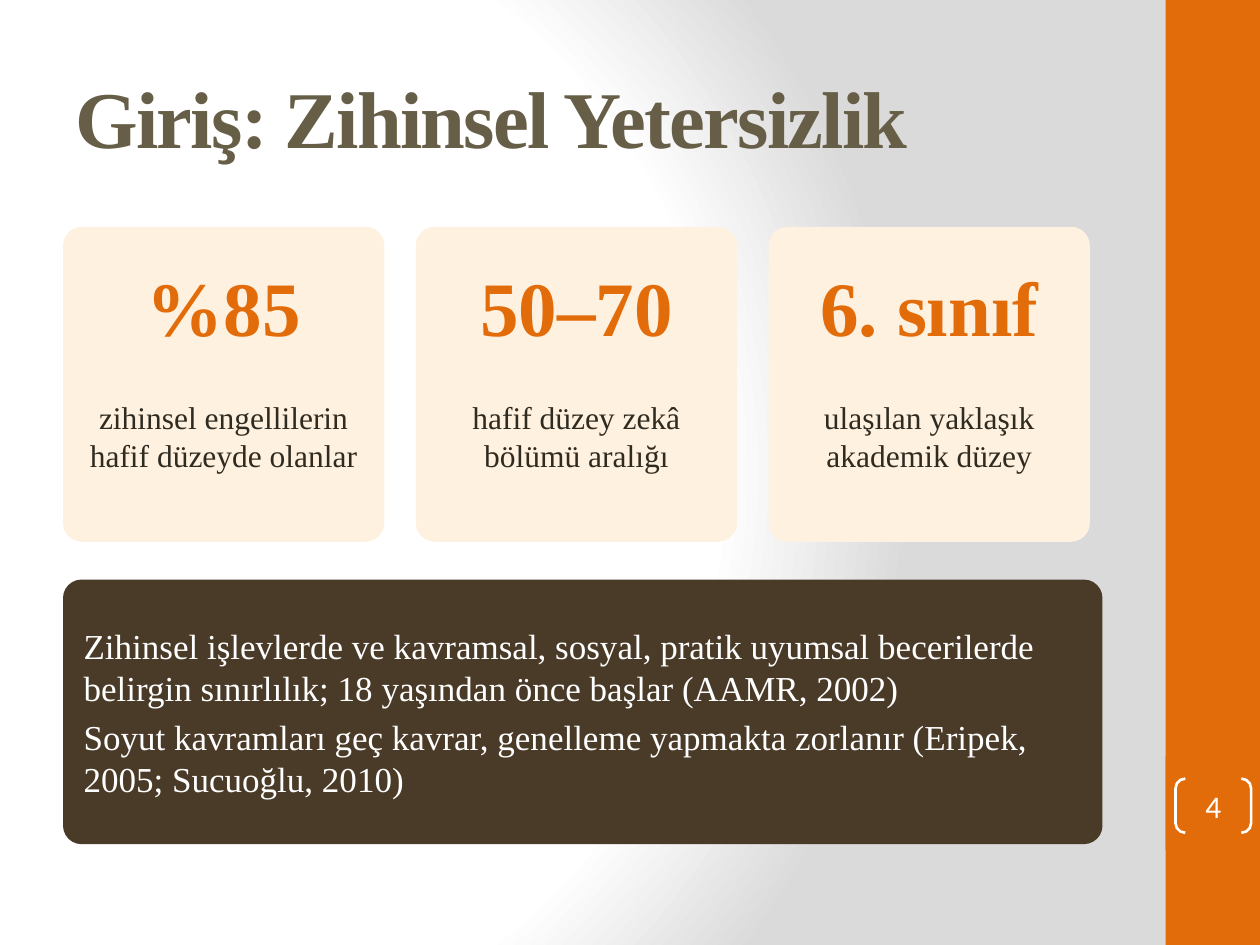
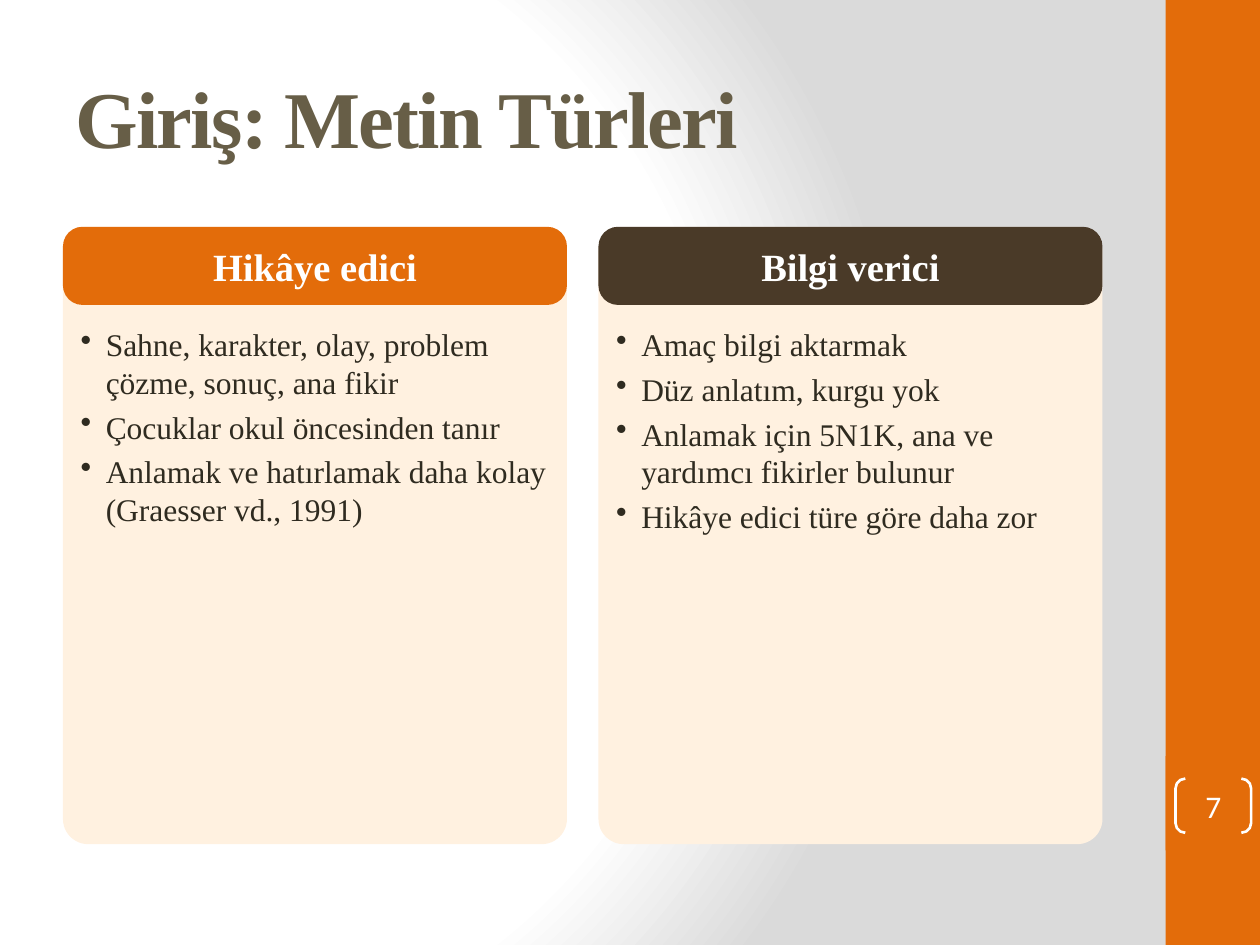
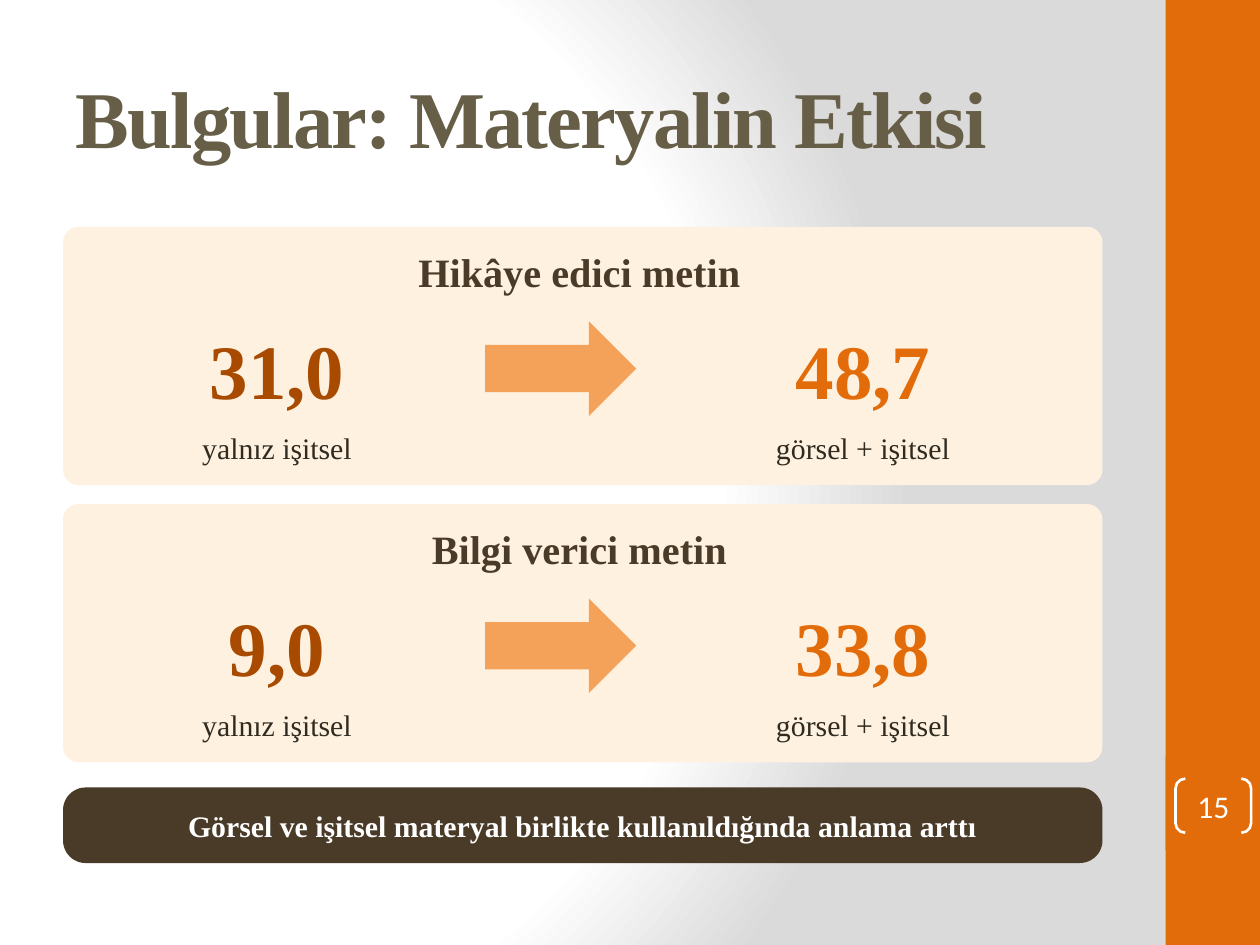
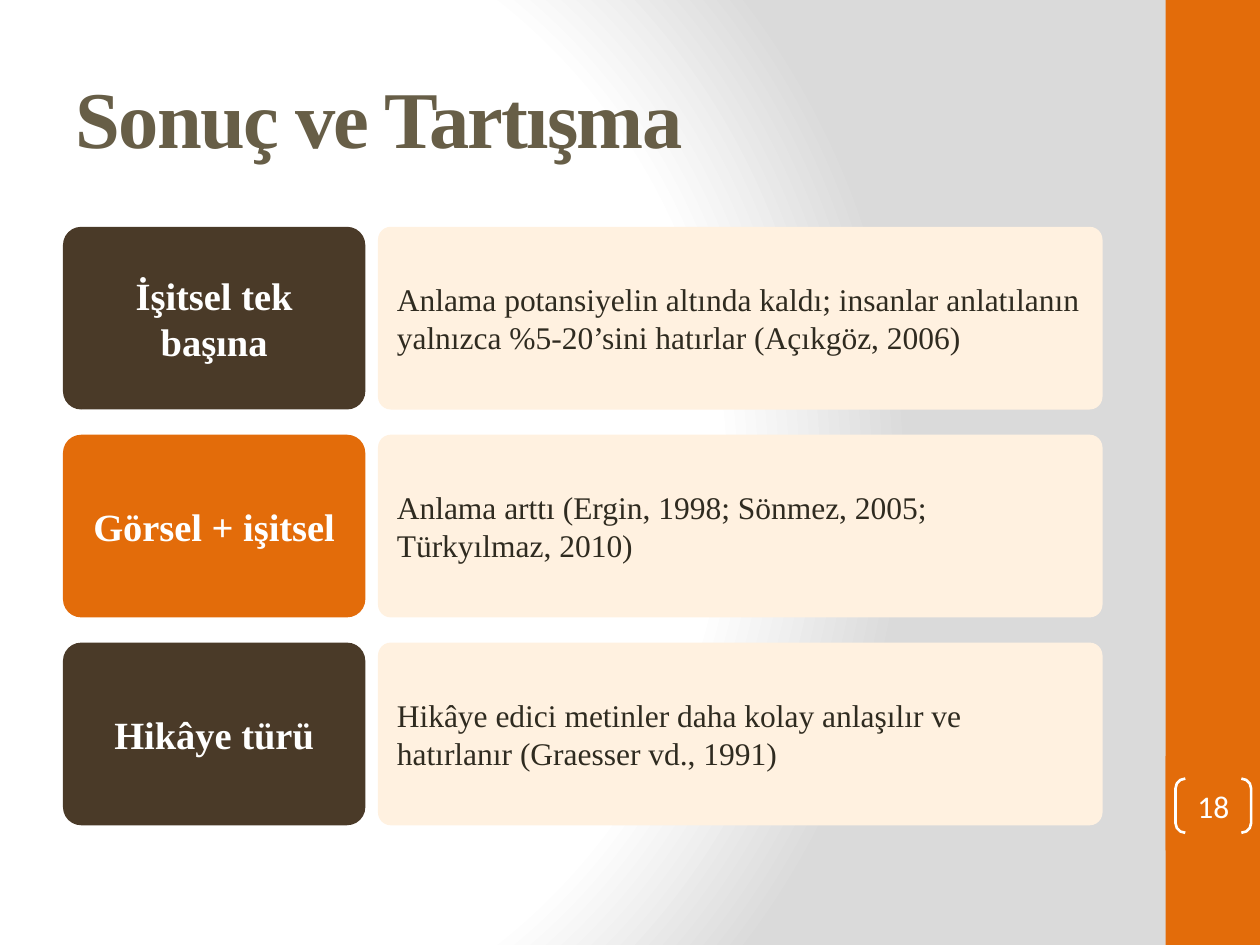
"""Build four slides on text comprehension for students with intellectual disability."""
from dataclasses import dataclass, replace
from typing import NamedTuple, Optional

from pptx import Presentation
from pptx import util as u
from pptx.dml.color import RGBColor
from pptx.enum import shapes, text
from pptx.oxml import parse_xml
from pptx.oxml.ns import nsdecls, qn

ORANGE, BROWN, CREAM, WHITE = "E36C0A", "4A3A28", "FFF1E0", "FFFFFF"
INK, RUST, APRICOT, OLIVE, GREY = "2F2B20", "A84A00", "F4A259", "675E47", "DADADA"
SERIF, SANS = "Times New Roman", "Calibri"
LEFT, TOP, CONTENT_WIDTH, GAP = 0.5, 1.8, 8.25, 0.25
BULLET_INDENT = 0.2
Kind, Align, Anchor = shapes.MSO_SHAPE, text.PP_ALIGN, text.MSO_ANCHOR


class Box(NamedTuple):
    left: float
    top: float
    width: float
    height: float

    def lengths(self) -> list:
        return [u.Inches(value) for value in self]


@dataclass(frozen=True)
class Style:
    size: float
    color: str
    bold: bool = False
    align: Align = Align.CENTER
    font: str = SERIF
    after: float = 4
    side_inset: float = 0.05
    edge_inset: float = 0.06
    anchor: Anchor = Anchor.TOP
    bullet: bool = False


class Statistic(NamedTuple):
    value: str
    label: str


class TextType(NamedTuple):
    name: str
    color: str
    points: list[str]


class Comparison(NamedTuple):
    name: str
    audio: str
    audiovisual: str


class Conclusion(NamedTuple):
    topic: str
    color: str
    finding: str


FIGURE = Style(44, ORANGE, bold=True)
LABEL = Style(18, INK)
CAPTION = Style(17, INK)
PANEL_TITLE = Style(23, BROWN, bold=True)
POINTS = Style(18, INK, align=Align.LEFT, side_inset=0.06, bullet=True)
HEADER = Style(22, WHITE, bold=True, side_inset=0.12, anchor=Anchor.MIDDLE)
BANNER = replace(HEADER, size=17)
BODY = replace(HEADER, size=18, color=INK, bold=False, align=Align.LEFT)
SUMMARY = replace(BODY, size=20, color=WHITE)
TITLE = Style(46, OLIVE, True, Align.LEFT, after=0, side_inset=0.1, edge_inset=0.05, anchor=Anchor.MIDDLE)
NUMBER = Style(18, WHITE, font=SANS, after=0, side_inset=0, edge_inset=0, anchor=Anchor.MIDDLE)


def rgb(color: str) -> RGBColor:
    return RGBColor.from_string(color)


def add_bullet(paragraph) -> None:
    properties = paragraph._p.get_or_add_pPr()
    indent = u.Inches(BULLET_INDENT)
    properties.set("marL", str(indent))
    properties.set("indent", str(-indent))
    properties.append(parse_xml(f'<a:buChar {nsdecls("a")} char="•"/>'))


def write(shape, lines: list[str], style: Style) -> None:
    frame = shape.text_frame
    frame.word_wrap = True
    frame.vertical_anchor = style.anchor
    frame.margin_left = frame.margin_right = u.Inches(style.side_inset)
    frame.margin_top = frame.margin_bottom = u.Inches(style.edge_inset)
    for index, line in enumerate(lines):
        paragraph = frame.add_paragraph() if index else frame.paragraphs[0]
        paragraph.alignment = style.align
        paragraph.space_after = u.Pt(style.after)
        if style.bullet:
            add_bullet(paragraph)
        run = paragraph.add_run()
        run.text = line
        run.font.name = style.font
        run.font.size = u.Pt(style.size)
        run.font.bold = style.bold
        run.font.color.rgb = rgb(style.color)


def add_text(slide, box: Box, lines: list[str], style: Style) -> None:
    write(slide.shapes.add_textbox(*box.lengths()), lines, style)


def add_block(slide, kind: Kind, box: Box, color: Optional[str], rounding: Optional[float] = None):
    shape = slide.shapes.add_shape(kind, *box.lengths())
    shape.shadow.inherit = False
    shape.line.fill.background()
    if color:
        shape.fill.solid()
        shape.fill.fore_color.rgb = rgb(color)
    else:
        shape.fill.background()
    if rounding is not None:
        shape.adjustments[0] = rounding
    return shape


def add_card(slide, box: Box, color: str, rounding: float,
             lines: Optional[list[str]] = None, style: Style = BODY) -> None:
    card = add_block(slide, Kind.ROUNDED_RECTANGLE, box, color, rounding)
    if lines:
        write(card, lines, style)


def set_background(master) -> None:
    master.background.fill.gradient()
    gradient = master.element.find(".//" + qn("a:gradFill"))
    stops = "".join(
        f'<a:gs pos="{position * 1000}"><a:srgbClr val="{color}"/></a:gs>'
        for position, color in ((0, WHITE), (75, WHITE), (100, GREY)))
    radial = parse_xml(
        f'<a:gradFill {nsdecls("a")} rotWithShape="1"><a:gsLst>{stops}</a:gsLst><a:path path="circle">'
        '<a:fillToRect l="20000" t="50000" r="100000" b="50000"/></a:path></a:gradFill>')
    gradient.getparent().replace(gradient, radial)


def move_bands_to_layout(slide) -> None:
    tree = slide.slide_layout.shapes.element
    for number, box in enumerate((Box(9.25, 0, 0.75, 7.5), Box(9.25, 6, 0.75, 0.75)), start=20):
        band = add_block(slide, Kind.RECTANGLE, box, ORANGE)
        band.element.nvSpPr.cNvPr.set("id", str(number))
        tree.append(band.element)


def add_slide(presentation, title: str):
    slide = presentation.slides.add_slide(presentation.slide_layouts[5])
    heading = slide.shapes.title
    heading.left, heading.top, heading.width, heading.height = Box(LEFT, 0.3, 8.33, 1.25).lengths()
    write(heading, [title], TITLE)
    for properties in heading.element.iter(qn("a:rPr")):
        properties.set("spc", "-100")
    return slide


def add_number(slide, number: int) -> None:
    bracket = add_block(slide, Kind.DOUBLE_BRACKET, Box(9.33, 6.18, 0.6, 0.43), None, 0.18)
    bracket.line.color.rgb = rgb(WHITE)
    bracket.line.width = u.Pt(1.5)
    write(bracket, [str(number)], NUMBER)


def fill_disability(slide) -> None:
    statistics = [
        Statistic("%85", "zihinsel engellilerin hafif düzeyde olanlar"),
        Statistic("50–70", "hafif düzey zekâ bölümü aralığı"),
        Statistic("6. sınıf", "ulaşılan yaklaşık akademik düzey"),
    ]
    width = 2.55
    for column, statistic in enumerate(statistics):
        left = LEFT + column * (width + GAP)
        add_card(slide, Box(left, TOP, width, 2.5), CREAM, 0.06)
        add_text(slide, Box(left, 2, width, 1), [statistic.value], FIGURE)
        add_text(slide, Box(left + 0.1, 3.1, width - 0.2, 1.1), [statistic.label], LABEL)
    add_card(slide, Box(LEFT, 4.6, CONTENT_WIDTH, 2.1), BROWN, 0.07, [
        "Zihinsel işlevlerde ve kavramsal, sosyal, pratik uyumsal becerilerde "
        "belirgin sınırlılık; 18 yaşından önce başlar (AAMR, 2002)",
        "Soyut kavramları geç kavrar, genelleme yapmakta zorlanır (Eripek, 2005; Sucuoğlu, 2010)",
    ], SUMMARY)


def fill_text_types(slide) -> None:
    text_types = [
        TextType("Hikâye edici", ORANGE, [
            "Sahne, karakter, olay, problem çözme, sonuç, ana fikir",
            "Çocuklar okul öncesinden tanır",
            "Anlamak ve hatırlamak daha kolay (Graesser vd., 1991)",
        ]),
        TextType("Bilgi verici", BROWN, [
            "Amaç bilgi aktarmak",
            "Düz anlatım, kurgu yok",
            "Anlamak için 5N1K, ana ve yardımcı fikirler bulunur",
            "Hikâye edici türe göre daha zor",
        ]),
    ]
    width = (CONTENT_WIDTH - GAP) / 2
    for column, text_type in enumerate(text_types):
        left = LEFT + column * (width + GAP)
        add_card(slide, Box(left, TOP, width, 4.9), CREAM, 0.05)
        add_card(slide, Box(left, TOP, width, 0.62), text_type.color, 0.25, [text_type.name], HEADER)
        add_text(slide, Box(left + 0.08, 2.52, width - 0.16, 4.1), text_type.points, POINTS)


def fill_material_effect(slide) -> None:
    comparisons = [
        Comparison("Hikâye edici metin", "31,0", "48,7"),
        Comparison("Bilgi verici metin", "9,0", "33,8"),
    ]
    for row, comparison in enumerate(comparisons):
        top = TOP + row * 2.2
        add_card(slide, Box(LEFT, top, CONTENT_WIDTH, 2.05), CREAM, 0.06)
        add_text(slide, Box(0.7, top + 0.1, 7.8, 0.5), [comparison.name], PANEL_TITLE)
        add_block(slide, Kind.RIGHT_ARROW, Box(3.85, top + 0.75, 1.2, 0.75), APRICOT)
        for left, width, score, color, caption in (
                (0.7, 3, comparison.audio, RUST, "yalnız işitsel"),
                (5.2, 3.3, comparison.audiovisual, ORANGE, "görsel + işitsel")):
            add_text(slide, Box(left, top + 0.7, width, 0.9), [score], replace(FIGURE, color=color))
            add_text(slide, Box(left, top + 1.55, width, 0.5), [caption], CAPTION)
    add_card(slide, Box(LEFT, 6.25, CONTENT_WIDTH, 0.6), BROWN, 0.3,
             ["Görsel ve işitsel materyal birlikte kullanıldığında anlama arttı"], BANNER)


def fill_conclusions(slide) -> None:
    conclusions = [
        Conclusion("İşitsel tek başına", BROWN,
                   "Anlama potansiyelin altında kaldı; insanlar anlatılanın "
                   "yalnızca %5-20’sini hatırlar (Açıkgöz, 2006)"),
        Conclusion("Görsel + işitsel", ORANGE,
                   "Anlama arttı (Ergin, 1998; Sönmez, 2005; Türkyılmaz, 2010)"),
        Conclusion("Hikâye türü", BROWN,
                   "Hikâye edici metinler daha kolay anlaşılır ve hatırlanır (Graesser vd., 1991)"),
    ]
    height = 1.45
    for row, conclusion in enumerate(conclusions):
        top = TOP + row * (height + 0.2)
        add_card(slide, Box(LEFT, top, 2.4, height), conclusion.color, 0.1, [conclusion.topic], HEADER)
        add_card(slide, Box(3, top, 5.75, height), CREAM, 0.07, [conclusion.finding], BODY)


def main() -> None:
    presentation = Presentation()
    presentation.slide_width, presentation.slide_height = u.Inches(10), u.Inches(7.5)
    set_background(presentation.slide_master)
    pages = [
        ("Giriş: Zihinsel Yetersizlik", 4, fill_disability),
        ("Giriş: Metin Türleri", 7, fill_text_types),
        ("Bulgular: Materyalin Etkisi", 15, fill_material_effect),
        ("Sonuç ve Tartışma", 18, fill_conclusions),
    ]
    for title, number, fill in pages:
        slide = add_slide(presentation, title)
        fill(slide)
        add_number(slide, number)
    move_bands_to_layout(presentation.slides[0])
    presentation.save("out.pptx")


if __name__ == "__main__":
    main()
